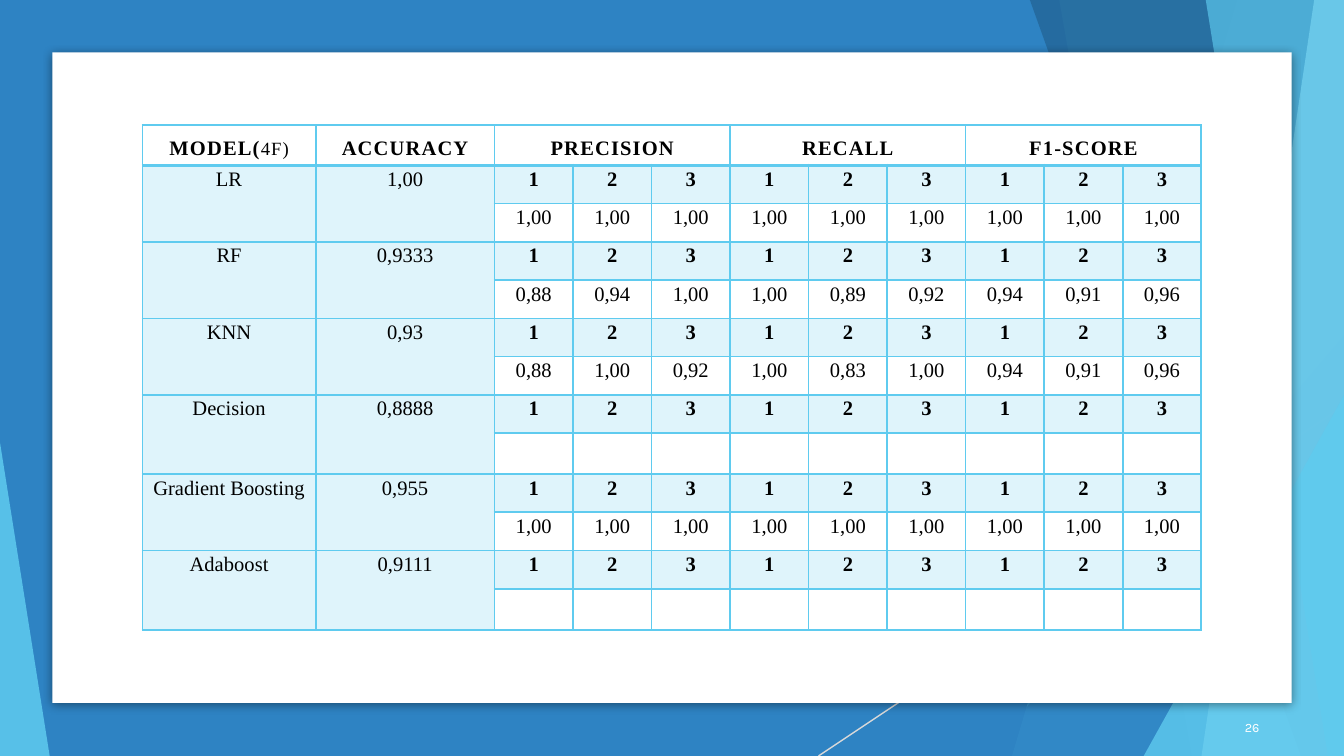
"""Build a slide with a table of classifier scores on a layered blue background."""
from lxml import etree
from pptx import Presentation
from pptx.dml.color import RGBColor
from pptx.enum.shapes import MSO_CONNECTOR, MSO_SHAPE
from pptx.enum.text import MSO_ANCHOR, PP_ALIGN
from pptx.oxml.ns import qn
from pptx.util import Inches, Pt

STRAIGHT = MSO_CONNECTOR.STRAIGHT
RECTANGLE, TRIANGLE = MSO_SHAPE.RECTANGLE, MSO_SHAPE.ISOSCELES_TRIANGLE
TOP, MIDDLE, BOTTOM = MSO_ANCHOR.TOP, MSO_ANCHOR.MIDDLE, MSO_ANCHOR.BOTTOM
CENTER, RIGHT = PP_ALIGN.CENTER, PP_ALIGN.RIGHT

COLORS = {
    "blue": "2E83C3",
    "navy": "226292",
    "sky": "5FCBEF",
    "pale": "9FE0F5",
    "gray": "D9D9D9",
    "white": "FFFFFF",
    "black": "000000",
}
WIDTH = 10
HEIGHT = WIDTH * 9 / 16


def paint(fill, color, opacity=100):
    """Give a fill a solid colour with an opacity in percent."""
    fill.solid()
    fill.fore_color.rgb = RGBColor.from_string(COLORS[color])
    if opacity < 100:
        for tone in fill._xPr.iter(qn("a:srgbClr")):
            etree.SubElement(tone, qn("a:alpha"), val=str(opacity * 1000))


def style(span, size, color="black", bold=False, font="Times New Roman", spacing=0):
    """Format one run."""
    span.font.size = Pt(size)
    span.font.name = font
    span.font.bold = bold
    span.font.color.rgb = RGBColor.from_string(COLORS[color])
    if spacing:
        span.font._element.set("spc", str(spacing))


deck = Presentation()
deck.slide_width, deck.slide_height = Inches(WIDTH), Inches(HEIGHT)
page = deck.slides.add_slide(deck.slide_layouts[6])

backdrop = page.shapes.add_shape(RECTANGLE, 0, 0, Inches(WIDTH), Inches(HEIGHT))
backdrop.shadow.inherit = False
paint(backdrop.fill, "blue")
backdrop.line.fill.background()

ray = page.shapes.add_connector(STRAIGHT, Inches(10), Inches(3.02), Inches(6.09), Inches(HEIGHT))
ray.line.width = Pt(0.75)
paint(ray.line.fill, "gray")
etree.SubElement(ray._element.spPr, qn("a:effectLst"))

layers = [
    ("band", (9.21, 7.53), "sky", 30),
    ("band", (7.88, 8.87), "sky", 20),
    ("triangle", (7.33, 2.5, 2.67, 1), "blue", 72),
    ("band", (7.66, 9.68), "navy", 70),
    ("band", (9.78, 8.94), "pale", 70),
    ("band", (8.97, 9.88), "sky", 65),
    ("triangle", (8.51, 2.94, 1.49, 1), "sky", 80),
    ("triangle", (0, 3.29, 0.37, 0), "sky", 85),
]
for kind, geometry, color, opacity in layers:
    if kind == "band":
        upper, lower = geometry
        outline = page.shapes.build_freeform(Inches(upper), Inches(-0.01))
        corners = [(WIDTH, -0.01), (WIDTH, HEIGHT), (lower, HEIGHT)]
        outline.add_line_segments([(Inches(x), Inches(y)) for x, y in corners])
        layer = outline.convert_to_shape()
    else:
        left, top, width, apex = geometry
        layer = page.shapes.add_shape(
            TRIANGLE, Inches(left), Inches(top), Inches(width), Inches(HEIGHT - top))
        layer.adjustments[0] = apex
    layer.shadow.inherit = False
    paint(layer.fill, color, opacity)
    layer.line.fill.background()

card = page.shapes.add_shape(RECTANGLE, Inches(0.39), Inches(0.39), Inches(9.22), Inches(4.84))
card.shadow.inherit = False
paint(card.fill, "white")
card.line.fill.background()
effects = card._element.spPr.find(qn("a:effectLst"))
shadow = etree.SubElement(effects, qn("a:outerShdw"), blurRad=str(Pt(5)), dist=str(Pt(1.4)),
                          dir="5400000", algn="t", rotWithShape="0")
shade = etree.SubElement(shadow, qn("a:srgbClr"), val=COLORS["black"])
etree.SubElement(shade, qn("a:alpha"), val="43000")

number_box = page.shapes.add_textbox(Inches(8.91), Inches(5.26), Inches(0.56), Inches(0.3))
number_box.text_frame.word_wrap = True
number_box.text_frame.vertical_anchor = MIDDLE
number_para = number_box.text_frame.paragraphs[0]
number_para.text = "26"
number_para.alignment = RIGHT
number_para.space_after = Pt(6)
style(number_para.runs[0], 6.8, "white", font="Karla")

models = [
    ("LR", "1,00", ["1,00"] * 9),
    ("RF", "0,9333", ["0,88", "0,94", "1,00", "1,00", "0,89", "0,92", "0,94", "0,91", "0,96"]),
    ("KNN", "0,93", ["0,88", "1,00", "0,92", "1,00", "0,83", "1,00", "0,94", "0,91", "0,96"]),
    ("Decision", "0,8888", [""] * 9),
    ("Gradient Boosting", "0,955", ["1,00"] * 9),
    ("Adaboost", "0,9111", [""] * 9),
]
rows = [["MODEL(", "ACCURACY", "PRECISION", "", "", "RECALL", "", "", "F1-SCORE", "", ""]]
heights = [0.3]
for model, accuracy, scores in models:
    rows.append([model, accuracy] + ["1", "2", "3"] * 3)
    rows.append(["", ""] + scores)
    heights += [0.285, 0.285 if scores[0] else 0.305]

frame = page.shapes.add_table(
    len(rows), len(rows[0]), Inches(1.06), Inches(0.93), Inches(7.88), Inches(sum(heights)))
table = frame.table
table.first_row = table.horz_banding = False
for column, width in zip(table.columns, [1.29, 1.33] + [5.26 / 9] * 9):
    column.width = Inches(width)
for row, height in zip(table.rows, heights):
    row.height = Inches(height)

for r, texts in enumerate(rows):
    header, labels = r == 0, r % 2 == 1
    for c, text in enumerate(texts):
        cell = table.cell(r, c)
        cell.margin_left = cell.margin_right = cell.margin_bottom = Inches(0.04)
        cell.margin_top = Inches(0.04 if header else 0.02)
        cell.vertical_anchor = BOTTOM if header else TOP
        para = cell.text_frame.paragraphs[0]
        para.text = text
        para.alignment = CENTER
        for span in para.runs:
            style(span, 11, bold=header or (labels and c > 1), spacing=60 if header else 0)
        if not text:
            etree.SubElement(para._p, qn("a:endParaRPr"), sz="1100")
        properties = cell._tc.get_or_add_tcPr()
        for side in ("L", "R", "T", "B"):
            thick = (header and side == "B") or (r == 1 and side == "T")
            border = etree.SubElement(properties, qn(f"a:ln{side}"), w=str(Pt(2 if thick else 1)))
            ink = etree.SubElement(border, qn("a:solidFill"))
            etree.SubElement(ink, qn("a:srgbClr"), val=COLORS["sky"])
        if labels or (c < 2 and not header):
            paint(cell.fill, "sky", 20)
        else:
            cell.fill.background()

suffix = table.cell(0, 0).text_frame.paragraphs[0].add_run()
suffix.text = "4F)"
style(suffix, 10, spacing=60)

for c in (2, 5, 8):
    table.cell(0, c).merge(table.cell(0, c + 2))
for r in range(1, len(rows), 2):
    for c in (0, 1):
        table.cell(r, c).merge(table.cell(r + 1, c))

deck.save("out.pptx")
